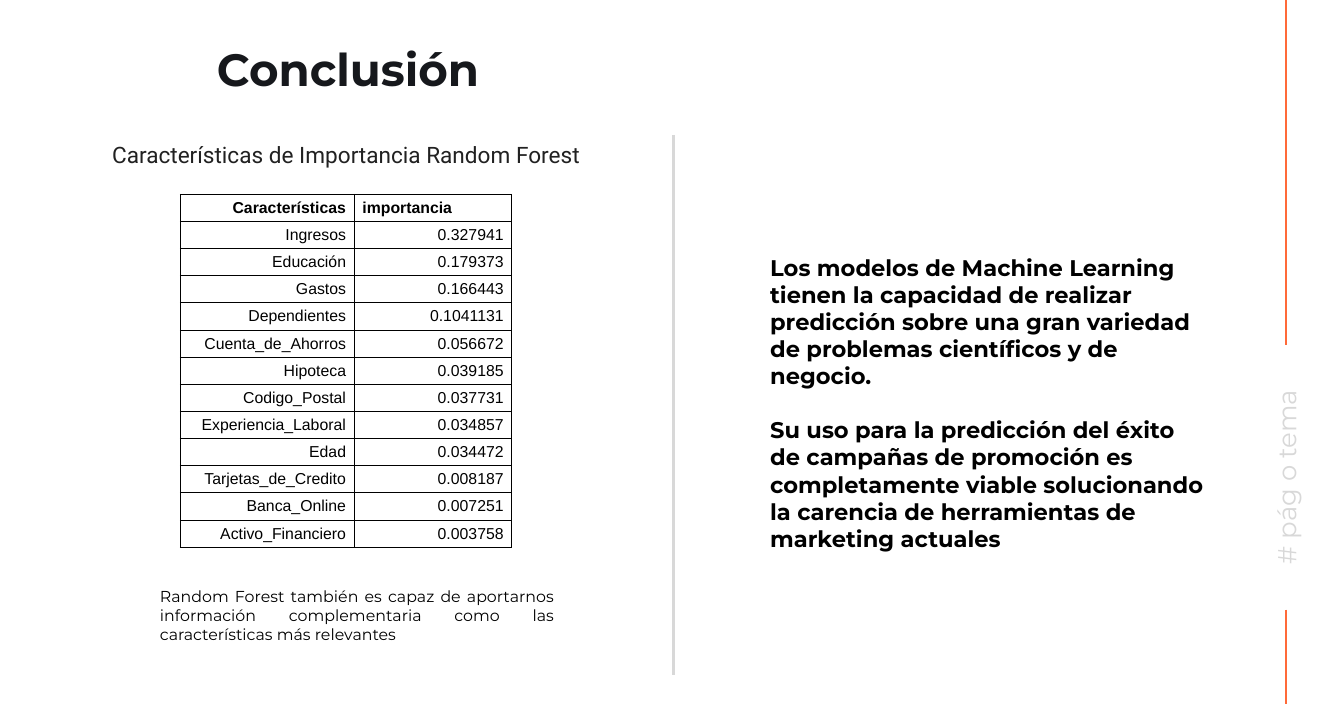
"""Builds the conclusion slide with the Random Forest feature importances."""
from lxml.etree import SubElement
from pptx import Presentation
from pptx.dml.color import RGBColor
from pptx.enum.shapes import MSO_CONNECTOR
from pptx.enum.text import MSO_ANCHOR, MSO_AUTO_SIZE, PP_ALIGN
from pptx.oxml.ns import qn
from pptx.util import Inches, Pt

ORANGE, GREY, BLACK = "FF6A39", "D8D8D8", "000000"

IMPORTANCES = [
    ("Características", "importancia"),
    ("Ingresos", "0.327941"),
    ("Educación", "0.179373"),
    ("Gastos", "0.166443"),
    ("Dependientes", "0.1041131"),
    ("Cuenta_de_Ahorros", "0.056672"),
    ("Hipoteca", "0.039185"),
    ("Codigo_Postal", "0.037731"),
    ("Experiencia_Laboral", "0.034857"),
    ("Edad", "0.034472"),
    ("Tarjetas_de_Credito", "0.008187"),
    ("Banca_Online", "0.007251"),
    ("Activo_Financiero", "0.003758"),
]

CONCLUSIONS = [
    "Los modelos de Machine Learning tienen la capacidad de realizar predicción "
    "sobre una gran variedad de problemas científicos y de negocio.",
    "Su uso para la predicción del éxito de campañas de promoción es completamente "
    "viable solucionando la carencia de herramientas de marketing actuales",
]


def color(value):
    return RGBColor.from_string(value)


class SlideBuilder:
    """Holds the text style and the current slide."""

    font = "Montserrat"

    def __init__(self, slide):
        self.slide = slide

    def add_wording(self, paragraph, wording, size, ink, bold=False, font=None,
                    align=PP_ALIGN.LEFT):
        paragraph.alignment = align
        run = paragraph.add_run()
        run.text = wording
        run.font.name = font or self.font
        run.font.size = Pt(size)
        run.font.bold = bold
        run.font.color.rgb = color(ink)

    def text(self, box, paragraphs, size, ink, inset=None, anchor=MSO_ANCHOR.TOP,
             rotation=0, gap=0, **style):
        label = self.slide.shapes.add_textbox(*map(Inches, box))
        label.rotation = rotation
        frame = label.text_frame
        frame.word_wrap = True
        frame.vertical_anchor = anchor
        if inset is None:
            frame.auto_size = MSO_AUTO_SIZE.SHAPE_TO_FIT_TEXT
        else:
            frame.margin_left = frame.margin_right = Inches(inset)
            frame.margin_top = frame.margin_bottom = Inches(inset)
        for index, wording in enumerate(paragraphs):
            paragraph = frame.paragraphs[0] if index == 0 else frame.add_paragraph()
            if index:
                paragraph.space_before = Pt(gap)
            self.add_wording(paragraph, wording, size, ink, **style)

    def vertical_line(self, x, top, bottom, ink, width):
        rule = self.slide.shapes.add_connector(
            MSO_CONNECTOR.STRAIGHT, Inches(x), Inches(top), Inches(x), Inches(bottom))
        rule.line.color.rgb = color(ink)
        rule.line.width = Pt(width)
        SubElement(rule._element.spPr, qn("a:effectLst"))

    def border(self, cell, ink, width):
        properties = cell._tc.get_or_add_tcPr()
        for side in ("a:lnL", "a:lnR", "a:lnT", "a:lnB"):
            edge = SubElement(properties, qn(side), w=str(Pt(width)))
            fill = SubElement(edge, qn("a:solidFill"))
            SubElement(fill, qn("a:srgbClr"), val=ink)

    def table(self, left, top, widths, row_height, rows):
        grid = self.slide.shapes.add_table(
            len(rows), len(widths), Inches(left), Inches(top),
            Inches(sum(widths)), Inches(row_height * len(rows))).table
        grid.first_row = grid.horz_banding = False
        for column, width in zip(grid.columns, widths):
            column.width = Inches(width)
        for r, row in enumerate(rows):
            grid.rows[r].height = Inches(row_height)
            for c, wording in enumerate(row):
                cell = grid.cell(r, c)
                self.border(cell, BLACK, 1)
                cell.fill.background()
                cell.vertical_anchor = MSO_ANCHOR.MIDDLE
                align = PP_ALIGN.LEFT if (r, c) == (0, 1) else PP_ALIGN.RIGHT
                self.add_wording(cell.text_frame.paragraphs[0], wording, 14, BLACK,
                                 bold=r == 0, font="Arial", align=align)


def main():
    deck = Presentation()
    deck.slide_width, deck.slide_height = Inches(16.54), Inches(8.66)
    page = SlideBuilder(deck.slides.add_slide(deck.slide_layouts[6]))

    page.vertical_line(15.83, 0, 4.24, ORANGE, 1.5)
    page.vertical_line(15.83, 7.5, 8.66, ORANGE, 1.5)
    page.text((14.19, 5.51, 3.29, 0.72), ["# pág o tema"], 23, GREY,
              inset=0.16, rotation=270, align=PP_ALIGN.CENTER)
    page.text((2.51, 0.45, 10.08, 0.78), ["Conclusión"], 40, "16181C",
              inset=0.16, anchor=MSO_ANCHOR.MIDDLE, bold=True)
    page.table(2.22, 2.39, (2.14, 1.94), 0.32, IMPORTANCES)
    page.text((0.84, 1.68, 6.84, 0.44), ["Características de Importancia Random Forest"],
              20, "212121", font="Roboto", align=PP_ALIGN.CENTER)
    page.text((1.87, 7.17, 5.05, 0.81),
              ["Random Forest también es capaz de aportarnos información complementaria "
               "como las características más relevantes"],
              14, BLACK, align=PP_ALIGN.JUSTIFY)
    page.vertical_line(8.29, 1.66, 8.3, GREY, 2.25)
    page.text((9.38, 3.07, 5.54, 3.8), CONCLUSIONS, 20, BLACK, gap=24, bold=True)

    deck.save("out.pptx")


if __name__ == "__main__":
    main()
